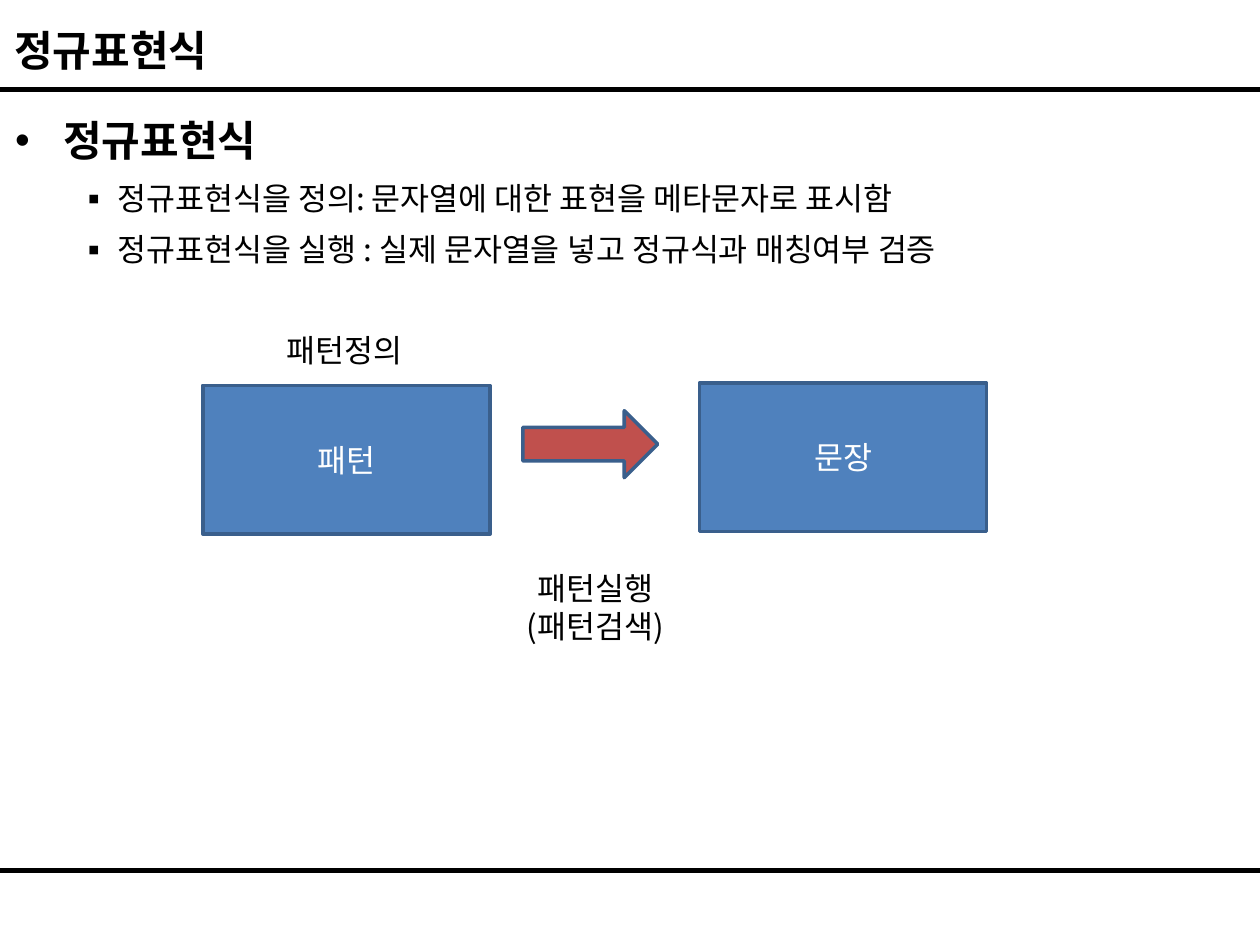
from lxml import etree
from pptx import Presentation
from pptx import util as u
from pptx.dml.color import RGBColor
from pptx.enum import shapes, text
from pptx.oxml import ns

FONT = "Noto Sans CJK KR"
BLACK = RGBColor(0x00, 0x00, 0x00)
WHITE = RGBColor(0xFF, 0xFF, 0xFF)
BLUE = RGBColor(0x4F, 0x81, 0xBD)
NAVY = RGBColor(0x3A, 0x5F, 0x8C)
RED = RGBColor(0xC0, 0x50, 0x4D)

TITLE = "정규표현식"
POINTS = [
    ("정규표현식", 0),
    ("정규표현식을 정의: 문자열에 대한 표현을 메타문자로 표시함", 1),
    ("정규표현식을 실행 : 실제 문자열을 넣고 정규식과 매칭여부 검증", 1),
]
LEVELS = [
    dict(size=24, bold=True, left=0.97, hang=0.97, mark="•", face="Arial"),
    dict(size=18, bold=False, left=2.06, hang=0.79, mark="▪", face="Noto Sans CJK KR"),
]
RULES = [1.8, 17.55]
RECT = shapes.MSO_SHAPE.RECTANGLE
ARROW = shapes.MSO_SHAPE.RIGHT_ARROW
BLOCKS = [
    (RECT, "패턴", BLUE, (4.09, 7.77, 5.79, 3)),
    (RECT, "문장", BLUE, (14.1, 7.72, 5.79, 3)),
    (ARROW, "", RED, (10.54, 8.28, 2.72, 1.35)),
]
LABELS = [
    (["패턴정의"], (4.85, 6.55, 4.19, 1.02)),
    (["패턴실행", "(패턴검색)"], (9.91, 11.35, 4.19, 1.8)),
]


def area(box):
    return [u.Cm(n) for n in box]


def place(shape, box):
    shape.left, shape.top, shape.width, shape.height = area(box)


def style(para, size, color, bold=False):
    font = para.font
    font.size, font.bold, font.name = u.Pt(size), bold, FONT
    font.color.rgb = color
    latin = para._p.pPr.find(".//" + ns.qn("a:latin"))
    east = etree.Element(ns.qn("a:ea"), typeface=FONT)
    latin.addnext(east)


def bullet(para, level):
    props = para._p.get_or_add_pPr()
    props.set("marL", str(u.Cm(level["left"])))
    props.set("indent", str(-u.Cm(level["hang"])))
    etree.SubElement(props, ns.qn("a:buFont"), typeface=level["face"])
    etree.SubElement(props, ns.qn("a:buChar"), char=level["mark"])


def add_rule(slide, top):
    line = slide.shapes.add_connector(
        shapes.MSO_CONNECTOR.STRAIGHT, 0, u.Cm(top), u.Cm(25.4), u.Cm(top))
    line.line.color.rgb = BLACK
    line.line.width = u.Pt(2.75)
    etree.SubElement(line._element.spPr, ns.qn("a:effectLst"))


def add_head(slide):
    title = slide.shapes.title
    place(title, (0.03, 0.41, 25.1, 1.17))
    frame = title.text_frame
    frame.text = TITLE
    frame.auto_size = text.MSO_AUTO_SIZE.NONE
    frame.vertical_anchor = text.MSO_ANCHOR.MIDDLE
    para = frame.paragraphs[0]
    para.alignment = text.PP_ALIGN.LEFT
    style(para, 24, BLACK, True)


def add_list(slide):
    body = slide.placeholders[1]
    place(body, (0.05, 2.18, 25.04, 14.68))
    frame = body.text_frame
    frame.text = "\n".join(words for words, _ in POINTS)
    frame.auto_size = text.MSO_AUTO_SIZE.NONE
    for para, (_, depth) in zip(frame.paragraphs, POINTS):
        level = LEVELS[depth]
        para.level = depth
        bullet(para, level)
        if depth:
            para.line_spacing = 1.2
        style(para, level["size"], BLACK, level["bold"])
    frame.paragraphs[0].space_before = u.Pt(0)


def add_block(slide, kind, words, fill, box):
    shape = slide.shapes.add_shape(kind, *area(box))
    shape.shadow.inherit = False
    shape.fill.solid()
    shape.fill.fore_color.rgb = fill
    shape.line.color.rgb = NAVY
    shape.line.width = u.Pt(2)
    if words:
        frame = shape.text_frame
        frame.text = words
        frame.vertical_anchor = text.MSO_ANCHOR.MIDDLE
        frame.paragraphs[0].alignment = text.PP_ALIGN.CENTER
        style(frame.paragraphs[0], 18, WHITE)


def add_label(slide, lines, box):
    frame = slide.shapes.add_textbox(*area(box)).text_frame
    frame.word_wrap = True
    frame.text = "\n".join(lines)
    for para in frame.paragraphs:
        para.alignment = text.PP_ALIGN.CENTER
        style(para, 18, BLACK)


def main():
    deck = Presentation()
    deck.slide_width, deck.slide_height = u.Cm(25.4), u.Cm(19.05)
    slide = deck.slides.add_slide(deck.slide_layouts[1])
    for top in RULES:
        add_rule(slide, top)
    add_head(slide)
    add_list(slide)
    for block in BLOCKS:
        add_block(slide, *block)
    for label in LABELS:
        add_label(slide, *label)
    deck.save("out.pptx")


if __name__ == "__main__":
    main()
